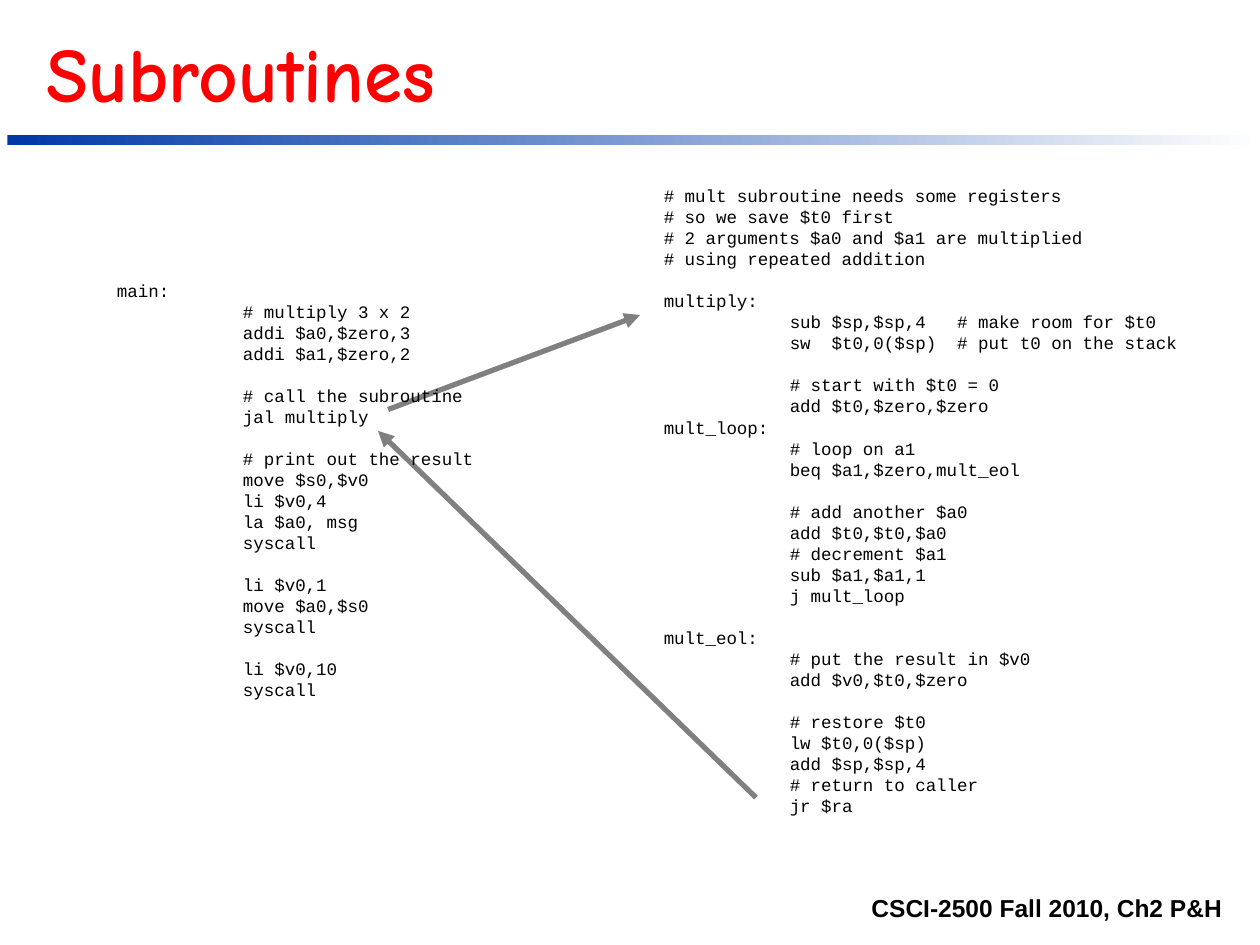
from dataclasses import dataclass

from lxml import etree
from pptx import Presentation
from pptx.dml.color import RGBColor
from pptx.enum.shapes import MSO_CONNECTOR, MSO_SHAPE
from pptx.enum.text import MSO_ANCHOR, MSO_AUTO_SIZE, PP_ALIGN
from pptx.oxml.ns import qn
from pptx.util import Inches, Pt

RECTANGLE = MSO_SHAPE.RECTANGLE
STRAIGHT = MSO_CONNECTOR.STRAIGHT
BOTTOM, TOP = MSO_ANCHOR.BOTTOM, MSO_ANCHOR.TOP
LEFT, RIGHT = PP_ALIGN.LEFT, PP_ALIGN.RIGHT
NO_FIT = MSO_AUTO_SIZE.NONE
TITLE_ONLY = 5


@dataclass(frozen=True)
class Theme:
    title_color: RGBColor = RGBColor(0xFF, 0x00, 0x00)
    text_color: RGBColor = RGBColor(0x00, 0x00, 0x00)
    arrow_color: RGBColor = RGBColor(0x80, 0x80, 0x80)
    rule_start: RGBColor = RGBColor(0x00, 0x39, 0xA6)
    rule_end: RGBColor = RGBColor(0xFF, 0xFF, 0xFF)
    title_font: str = "Comic Neue"
    code_font: str = "Courier New"
    footer_font: str = "Arial"
    title_size: Pt = Pt(44)
    code_size: Pt = Pt(10)
    code_line: Pt = Pt(12.03)
    code_tab: Inches = Inches(1)
    footer_size: Pt = Pt(14)
    arrow_width: Pt = Pt(3)


THEME = Theme()
INDENT = "    "

MAIN_CODE = """main:
    # multiply 3 x 2
    addi $a0,$zero,3
    addi $a1,$zero,2

    # call the subroutine
    jal multiply

    # print out the result
    move $s0,$v0
    li $v0,4
    la $a0, msg
    syscall

    li $v0,1
    move $a0,$s0
    syscall

    li $v0,10
    syscall"""

MULTIPLY_CODE = """# mult subroutine needs some registers
# so we save $t0 first
# 2 arguments $a0 and $a1 are multiplied
# using repeated addition

multiply:
    sub $sp,$sp,4   # make room for $t0
    sw  $t0,0($sp)  # put t0 on the stack

    # start with $t0 = 0
    add $t0,$zero,$zero
mult_loop:
    # loop on a1
    beq $a1,$zero,mult_eol

    # add another $a0
    add $t0,$t0,$a0
    # decrement $a1
    sub $a1,$a1,1
    j mult_loop

mult_eol:
    # put the result in $v0
    add $v0,$t0,$zero

    # restore $t0
    lw $t0,0($sp)
    add $sp,$sp,4
    # return to caller
    jr $ra"""


def place(shape, left, top, width, height):
    shape.left, shape.top = Inches(left), Inches(top)
    shape.width, shape.height = Inches(width), Inches(height)


def add_run(paragraph, text, font_name, size, color, bold=False):
    run = paragraph.add_run()
    run.text = text
    run.font.name = font_name
    run.font.size = size
    run.font.bold = bold
    run.font.color.rgb = color


def add_tab_stop(paragraph, position):
    stops = etree.SubElement(paragraph._p.get_or_add_pPr(), qn("a:tabLst"))
    etree.SubElement(stops, qn("a:tab"), pos=str(position), algn="l")


def prepare_frame(shape, anchor, wrap=True):
    frame = shape.text_frame
    frame.auto_size = NO_FIT
    frame.word_wrap = wrap
    frame.vertical_anchor = anchor
    return frame


def set_title(slide, text):
    title = slide.shapes.title
    place(title, 0.27, 0.16, 9.05, 0.83)
    heading = prepare_frame(title, BOTTOM).paragraphs[0]
    heading.alignment = LEFT
    add_run(heading, text, THEME.title_font, THEME.title_size,
            THEME.title_color, bold=True)


def add_title_rule(slide):
    rule = slide.shapes.add_shape(
        RECTANGLE, Inches(0.06), Inches(1.07), Inches(9.94), Inches(0.08))
    rule.shadow.inherit = False
    rule.line.fill.background()
    rule.fill.gradient()
    rule.fill.gradient_angle = 0
    for stop, color in zip(rule.fill.gradient_stops,
                           (THEME.rule_start, THEME.rule_end)):
        stop.color.rgb = color


def add_footer(slide, text):
    footer = slide.shapes.add_textbox(
        Inches(1.85), Inches(6.98), Inches(7.95), Inches(0.39))
    course = prepare_frame(footer, BOTTOM).paragraphs[0]
    course.alignment = RIGHT
    add_run(course, text, THEME.footer_font, THEME.footer_size,
            THEME.text_color, bold=True)


def add_arrow(slide, start, end):
    arrow = slide.shapes.add_connector(
        STRAIGHT, *(Inches(value) for value in (*start, *end)))
    arrow.line.color.rgb = THEME.arrow_color
    arrow.line.width = THEME.arrow_width
    etree.SubElement(arrow.line._get_or_add_ln(), qn("a:tailEnd"),
                     type="triangle")
    etree.SubElement(arrow._element.spPr, qn("a:effectLst"))


def add_code(slide, code, left, top, width, height, wrap=True):
    listing = slide.shapes.add_textbox(
        Inches(left), Inches(top), Inches(width), Inches(height))
    frame = prepare_frame(listing, TOP, wrap)
    line = frame.paragraphs[0]
    for block_index, block in enumerate(code.split("\n\n")):
        for line_index, text in enumerate(block.split("\n")):
            if block_index or line_index:
                line = frame.add_paragraph()
            line.line_spacing = THEME.code_line
            if block_index and not line_index:
                line.space_before = THEME.code_line
            if text.startswith(INDENT):
                add_tab_stop(line, THEME.code_tab)
                text = "\t" + text[len(INDENT):]
            add_run(line, text, THEME.code_font, THEME.code_size,
                    THEME.text_color)


def main():
    deck = Presentation()
    deck.slide_width, deck.slide_height = Inches(10), Inches(7.5)
    slide = deck.slides.add_slide(deck.slide_layouts[TITLE_ONLY])
    set_title(slide, "Subroutines")
    add_title_rule(slide)
    add_footer(slide, "CSCI-2500 Fall 2010, Ch2 P&H")
    add_arrow(slide, (6, 6.33), (3, 3.42))
    add_arrow(slide, (3.08, 3.25), (5.08, 2.5))
    add_code(slide, MAIN_CODE, 0.83, 2.17, 3.25, 3.44)
    add_code(slide, MULTIPLY_CODE, 5.17, 1.42, 4.27, 5.28, wrap=False)
    deck.save("out.pptx")


if __name__ == "__main__":
    main()
